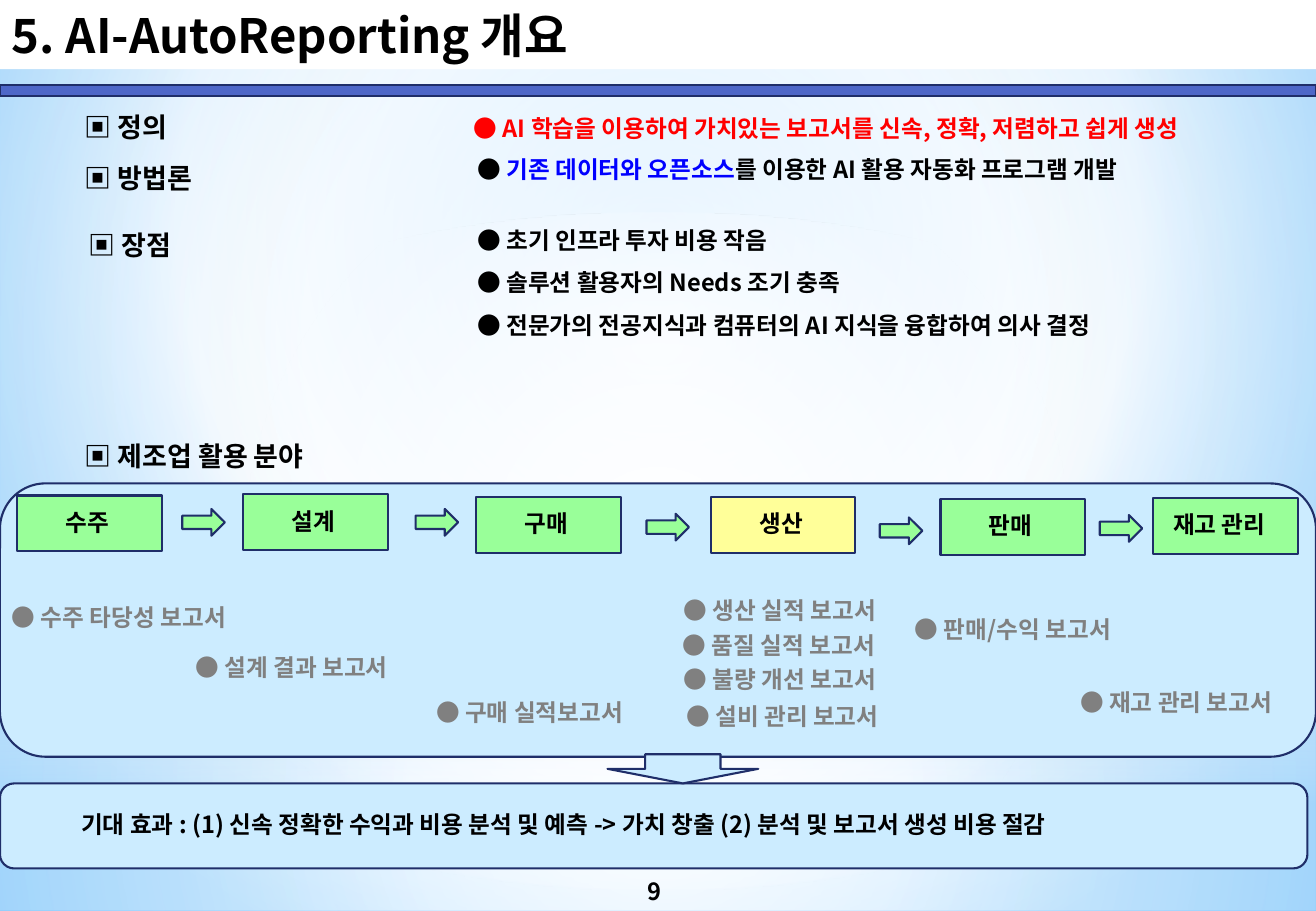
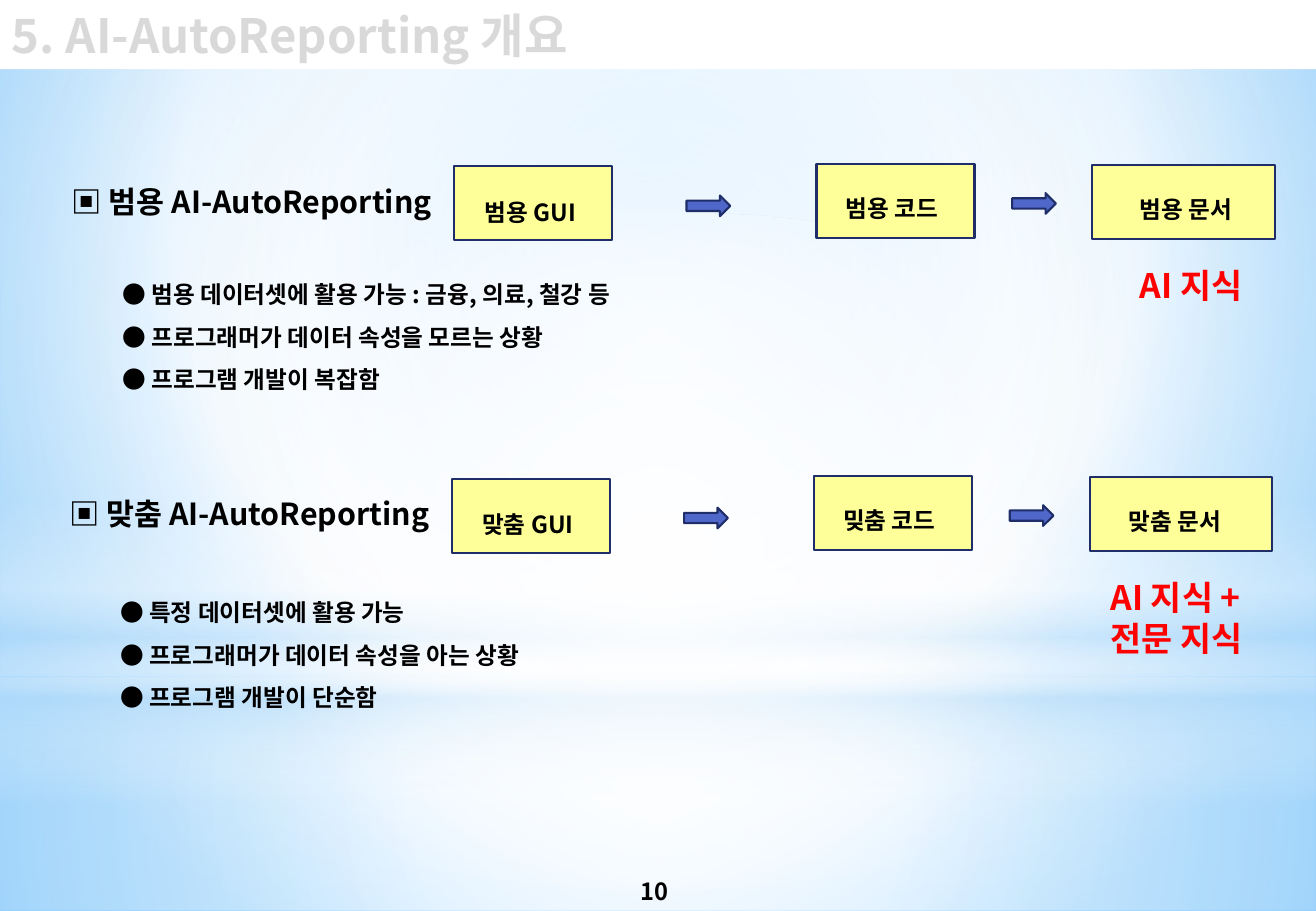
from lxml.etree import SubElement
from pptx import Presentation
from pptx.dml.color import RGBColor
from pptx.enum.shapes import MSO_SHAPE
from pptx.enum.text import MSO_ANCHOR, MSO_AUTO_SIZE, PP_ALIGN
from pptx.oxml.ns import qn
from pptx.util import Inches, Pt

WIDTH, HEIGHT = 10.83, 7.5
FACE = "Noto Sans CJK KR"
BLACK, WHITE, RED, BLUE, GRAY = "000000", "FFFFFF", "FF0000", "0000FF", "808080"
PALE, SKY, GREEN, YELLOW = "B4DCFA", "CCECFF", "99FF99", "FFFF99"
ACCENT, NAVY, FADED = "4E67C8", "1F2E69", "D9D9D9"
TITLE = "5. AI-AutoReporting 개요"
CENTER = (50, 50, 50, 50)
BACK = [(0, "9ED5FF", 100), (60, WHITE, 100), (100, "5BB9FF", 100)]
LAYERS = [
    (MSO_SHAPE.RECTANGLE, 0, 5.58, 1.92, CENTER,
     [(0, WHITE, 91), (37, WHITE, 76), (100, PALE, 79)]),
    (MSO_SHAPE.RECTANGLE, 0, 0, 5.58, CENTER,
     [(0, WHITE, 89), (48, WHITE, 62), (100, PALE, 79)]),
    (MSO_SHAPE.RECTANGLE, 0, 4.12, 2.5, None,
     [(0, WHITE, 0), (29, WHITE, 30), (45, PALE, 40),
      (55, WHITE, 26), (65, PALE, 60), (100, WHITE, 0)]),
    (MSO_SHAPE.OVAL, 0, 1.75, 5.58, CENTER,
     [(0, WHITE, 100), (56, WHITE, 0)]),
]


def color(code):
    return RGBColor.from_string(code)


def blend(owner, fill, stops, focus):
    fill.gradient()
    grad = next(owner.iter(qn("a:gradFill")))
    for child in list(grad):
        grad.remove(child)
    group = SubElement(grad, qn("a:gsLst"))
    for place, code, alpha in stops:
        stop = SubElement(group, qn("a:gs"), pos=str(place * 1000))
        tint = SubElement(stop, qn("a:srgbClr"), val=code)
        if alpha < 100:
            SubElement(tint, qn("a:alpha"), val=str(alpha * 1000))
    if focus:
        route = SubElement(grad, qn("a:path"), {"path": "circle"})
        edges = {side: str(value * 1000) for side, value in zip("ltrb", focus)}
        SubElement(route, qn("a:fillToRect"), edges)
    else:
        SubElement(grad, qn("a:lin"), ang="5400000", scaled="0")


class Deck:
    """Holds the shared style and the current slide."""

    def __init__(self):
        self.file = Presentation()
        self.file.slide_width = Inches(WIDTH)
        self.file.slide_height = Inches(HEIGHT)
        self.slide = None

    def page(self, number, tone=BLACK):
        self.slide = self.file.slides.add_slide(self.file.slide_layouts[6])
        blend(self.slide._element, self.slide.background.fill, BACK, (20, 10, 20, 60))
        for kind, left, top, height, focus, stops in LAYERS:
            layer = self.shape(left, top, WIDTH, height, kind=kind, edge=None)
            blend(layer._element, layer.fill, stops, focus)
        foot = self.text(4.26, 7, 2.26, 0.5, [str(number)], wrap=True, grow=False)
        foot.text_frame.vertical_anchor = MSO_ANCHOR.BOTTOM
        foot.text_frame.paragraphs[0].alignment = PP_ALIGN.CENTER
        band = self.shape(0, 0, WIDTH, 0.57, WHITE, edge=None)
        self.label(band, [TITLE], size=28, tone=tone, wrap=True)

    def shape(self, left, top, width, height, fill=WHITE,
              kind=MSO_SHAPE.RECTANGLE, edge=NAVY):
        item = self.slide.shapes.add_shape(
            kind, Inches(left), Inches(top), Inches(width), Inches(height))
        item.shadow.inherit = False
        item.fill.solid()
        item.fill.fore_color.rgb = color(fill)
        if edge:
            item.line.color.rgb = color(edge)
            item.line.width = Pt(1.25)
        else:
            item.line.fill.background()
        return item

    def arrow(self, left, top, width, height, fill):
        self.shape(left, top, width, height, fill, MSO_SHAPE.RIGHT_ARROW)

    def text(self, left, top, width, height, lines, **style):
        box = self.slide.shapes.add_textbox(
            Inches(left), Inches(top), Inches(width), Inches(height))
        self.label(box, lines, **style)
        return box

    def label(self, item, lines, size=14, tone=BLACK, space=None, wrap=False, grow=True):
        frame = item.text_frame
        fit = MSO_AUTO_SIZE.SHAPE_TO_FIT_TEXT if grow else MSO_AUTO_SIZE.NONE
        form = {"word_wrap": wrap, "auto_size": fit, "vertical_anchor": MSO_ANCHOR.TOP}
        for key, value in form.items():
            setattr(frame, key, value)
        for index, line in enumerate(lines):
            para = frame.add_paragraph() if index else frame.paragraphs[0]
            para.alignment = PP_ALIGN.LEFT
            para.line_spacing = space
            parts = [(line, tone)] if isinstance(line, str) else line
            for words, code in parts:
                run = para.add_run()
                run.text = words
                for key, value in {"name": FACE, "size": Pt(size), "bold": True}.items():
                    setattr(run.font, key, value)
                run.font.color.rgb = color(code)
                SubElement(run._r.get_or_add_rPr(), qn("a:ea"), typeface=FACE)

    def points(self, left, top, width, lines, tone=BLACK):
        height = 1.12 if len(lines) > 1 else 0.41
        self.text(left, top, width, height, lines, tone=tone, space=1.5)


def outline(deck):
    deck.page(9)
    deck.shape(0, 3.98, WIDTH, 2.25, SKY, MSO_SHAPE.ROUNDED_RECTANGLE)
    deck.shape(0, 0.7, WIDTH, 0.09, ACCENT)

    heads = [(0.6, 0.86, 0.95, "정의"), (0.6, 1.28, 1.18, "방법론"),
             (0.63, 1.83, 0.95, "장점"), (0.6, 3.57, 2.91, "제조업 활용 분야")]
    for left, top, width, words in heads:
        deck.text(left, top, width, 0.37, ["▣ " + words], size=16)

    deck.points(3.8, 0.77, 6.68,
                ["● AI 학습을 이용하여 가치있는 보고서를 신속, 정확, 저렴하고 쉽게 생성"], RED)
    deck.points(3.83, 1.11, 6.12, [[
        ("● ", BLACK), ("기존 데이터와 오픈소스", BLUE),
        ("를 이용한 AI 활용 자동화 프로그램 개발", BLACK)]])
    deck.points(3.83, 1.69, 5.86, [
        "● 초기 인프라 투자 비용 작음",
        "● 솔루션 활용자의 Needs 조기 충족",
        "● 전문가의 전공지식과 컴퓨터의 AI 지식을 융합하여 의사 결정"])

    stages = [(0.14, 4.08, "수주", 0.59), (2, 4.07, "설계", 0.59),
              (3.92, 4.09, "구매", 0.59), (5.85, 4.09, "생산", 0.59),
              (7.74, 4.11, "판매", 0.59), (9.49, 4.1, "재고 관리", 1.06)]
    for left, top, words, width in stages:
        deck.shape(left, top, 1.19, 0.46, YELLOW if words == "생산" else GREEN)
        deck.text(left + (1.19 - width) / 2, top + 0.05, width, 0.34, [words])
    for left, top in [(1.5, 4.19), (3.42, 4.19), (5.32, 4.23), (7.24, 4.26), (9.05, 4.24)]:
        deck.arrow(left, top, 0.35, 0.22, GREEN)

    reports = [(0, 4.8, 2.17, "수주 타당성 보고서"), (1.51, 5.21, 1.98, "설계 결과 보고서"),
               (3.49, 5.58, 1.91, "구매 실적보고서"), (5.53, 4.74, 1.98, "생산 실적 보고서"),
               (5.52, 5.03, 1.98, "품질 실적 보고서"), (5.53, 5.31, 1.98, "불량 개선 보고서"),
               (5.55, 5.61, 1.98, "설비 관리 보고서"), (7.43, 4.9, 2, "판매/수익 보고서"),
               (8.79, 5.5, 1.98, "재고 관리 보고서")]
    for left, top, width, words in reports:
        deck.points(left, top, width, ["● " + words], GRAY)

    deck.shape(0, 6.45, 10.76, 0.7, SKY, MSO_SHAPE.ROUNDED_RECTANGLE)
    deck.text(0.57, 6.62, 9.22, 0.34, [
        "기대 효과 : (1) 신속 정확한 수익과 비용 분석 및 예측 -> 가치 창출 "
        "(2) 분석 및 보고서 생성 비용 절감"])
    deck.shape(5, 6.21, 1.24, 0.24, SKY, MSO_SHAPE.DOWN_ARROW)


def flow(deck, left, top, name, labels, inset):
    deck.text(left, top + 0.09, 3.28, 0.4, [f"▣ {name} AI-AutoReporting"], size=18)
    boxes = [(3.25, 0, 1.3, 0.15, 0.09, 1.01), (6.23, -0.02, 1.3, 0.14, 0.08, 1.06),
             (8.5, -0.01, 1.5, inset, 0.08, 1.06)]
    for (across, down, width, pad, drop, span), words in zip(boxes, labels):
        deck.shape(left + across, top + down, width, 0.61, YELLOW)
        deck.points(left + across + pad, top + down + drop, span, [words])
    for across, down in [(5.16, 0.24), (7.84, 0.22)]:
        deck.arrow(left + across, top + down, 0.36, 0.17, ACCENT)


def compare(deck):
    deck.page(10, FADED)
    flow(deck, 0.49, 1.37, "범용", ["범용 GUI", "범용 코드", "범용 문서"], 0.29)
    flow(deck, 0.47, 3.94, "맞춤", ["맞춤 GUI", "밎춤 코드", "맞춤 문서"], 0.22)
    deck.points(0.91, 2.14, 4.7, [
        "● 범용 데이터셋에 활용 가능 : 금융, 의료, 철강 등",
        "● 프로그래머가 데이터 속성을 모르는 상황",
        "● 프로그램 개발이 복잡함"])
    deck.points(0.89, 4.76, 3.88, [
        "● 특정 데이터셋에 활용 가능",
        "● 프로그래머가 데이터 속성을 아는 상황",
        "● 프로그램 개발이 단순함"])
    notes = [(9.28, 2.13, 1.28, 0.44, "AI 지식"),
             (9.04, 4.7, 1.44, 0.77, "AI 지식 + 전문 지식")]
    for left, top, width, height, words in notes:
        deck.text(left, top, width, height, [words], size=20, tone=RED, wrap=True)


def main():
    deck = Deck()
    outline(deck)
    compare(deck)
    deck.file.save("out.pptx")


if __name__ == "__main__":
    main()
